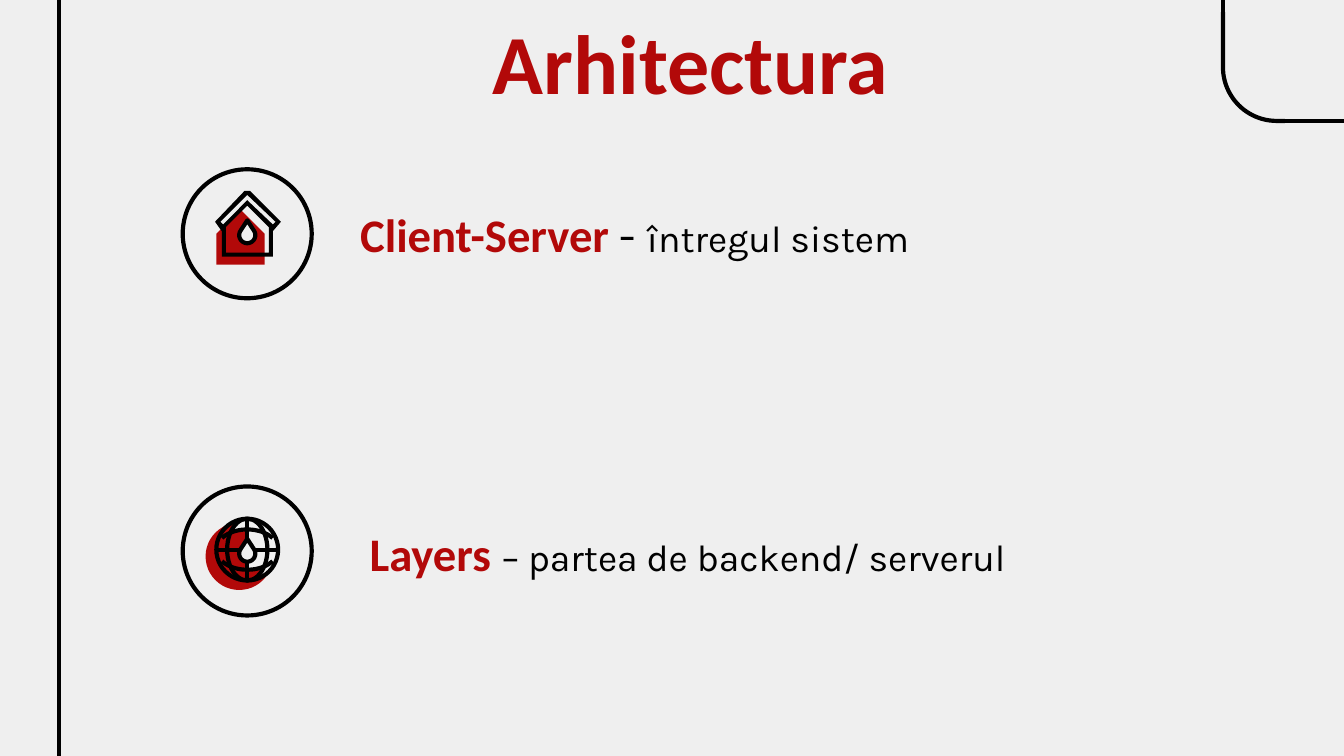
from dataclasses import dataclass
from math import cos, radians, sin
from typing import Optional

from lxml.etree import SubElement
from pptx import Presentation
from pptx.dml.color import RGBColor
from pptx.enum.shapes import MSO_CONNECTOR as Connector, MSO_SHAPE as Preset
from pptx.enum.text import MSO_ANCHOR as Anchor, MSO_AUTO_SIZE as AutoSize, PP_ALIGN as Align
from pptx.oxml.ns import qn
from pptx.util import Inches, Pt

COLORS = {"ground": "EFEFEF", "red": "B20909", "black": "000000"}
STROKE = Pt(2.25)
Points = list[tuple[float, float]]


@dataclass
class Span:
    """A stretch of text with one format."""
    text: str
    size: int
    font: str = "Karla"
    color: str = "black"
    bold: bool = False


@dataclass
class TextLine:
    """A placeholder's frame and its spans."""
    left: float
    top: float
    width: float
    spans: list[Span]
    anchor: Anchor = Anchor.BOTTOM
    align: Align = Align.LEFT


def heading(text: str, size: int) -> Span:
    """Return a bold red span."""
    return Span(text, size, "Calibri", "red", True)


def rgb(name: str) -> RGBColor:
    """Look up a colour by name."""
    return RGBColor.from_string(COLORS[name])


def paint(shape, fill: Optional[str], line: Optional[str]) -> None:
    """Set fill and outline, and drop the shadow."""
    shape.shadow.inherit = False
    if fill:
        shape.fill.solid()
        shape.fill.fore_color.rgb = rgb(fill)
    else:
        shape.fill.background()
    if line:
        shape.line.color.rgb = rgb(line)
        shape.line.width = STROKE
    else:
        shape.line.fill.background()


def add_outline(page, contours: list[Points], fill: Optional[str] = None,
                line: Optional[str] = None, close: bool = True) -> None:
    """Draw one freeform made of one or more contours."""
    scaled = [[(Inches(x), Inches(y)) for x, y in points] for points in contours]
    builder = page.shapes.build_freeform(*scaled[0][0], scale=1.0)
    for index, points in enumerate(scaled):
        if index:
            builder.move_to(*points[0])
        builder.add_line_segments(points[1:], close=close)
    paint(builder.convert_to_shape(), fill, line)


def add_ellipse(page, x: float, y: float, rx: float, ry: float,
                fill: Optional[str] = None, line: Optional[str] = None) -> None:
    """Draw an ellipse around a centre."""
    shape = page.shapes.add_shape(Preset.OVAL, Inches(x - rx), Inches(y - ry),
                                  Inches(2 * rx), Inches(2 * ry))
    paint(shape, fill, line)


def add_line(page, x1: float, y1: float, x2: float, y2: float) -> None:
    """Draw a straight black line."""
    line = page.shapes.add_connector(Connector.STRAIGHT, Inches(x1), Inches(y1),
                                     Inches(x2), Inches(y2))
    line.line.color.rgb = rgb("black")
    line.line.width = STROKE
    SubElement(line._element.spPr, qn("a:effectLst"))


def arc(x: float, y: float, rx: float, ry: float, start: int, end: int) -> Points:
    """Sample an elliptical arc; angles run clockwise from the right."""
    steps = 24
    angles = [radians(start + (end - start) * i / steps) for i in range(steps + 1)]
    return [(x + rx * cos(a), y + ry * sin(a)) for a in angles]


def add_drop(page, x: float, y: float) -> None:
    """Draw a water drop around the centre of its round part."""
    points = [(x, y - 0.11)] + arc(x, y, 0.06, 0.06, -30, 210)
    add_outline(page, [points], "ground", "black")


def add_house(page) -> None:
    """Draw the house icon."""
    add_outline(page, [[(1.79, 1.56), (1.61, 1.74), (1.61, 1.97), (1.97, 1.97), (1.97, 1.74)]], "red")
    add_outline(page, [[(1.8, 1.61), (1.65, 1.78), (1.67, 1.94), (1.83, 1.94),
                        (1.95, 1.82), (1.89, 1.72)]], "red")
    walls = [(1.82, 1.42), (1.6, 1.65), (1.65, 1.72), (1.65, 1.91), (2.03, 1.91),
             (2.03, 1.72), (2.09, 1.65), (1.86, 1.42)]
    roof = [(1.84, 1.45), (2.05, 1.65), (2.03, 1.67), (1.84, 1.49), (1.66, 1.67), (1.64, 1.65)]
    room = [(1.84, 1.53), (2, 1.69), (2, 1.88), (1.68, 1.88), (1.68, 1.69)]
    add_outline(page, [walls, roof, room], "black")
    add_drop(page, 1.84, 1.75)


def add_globe(page) -> None:
    """Draw the globe icon."""
    x, y, radius = 1.84, 4.09, 0.23
    add_ellipse(page, 1.78, 4.14, 0.25, 0.25, "red")
    add_outline(page, [[(1.72, 3.96), (1.79, 3.86), (1.88, 3.86), (1.96, 3.89), (2.04, 3.96),
                        (2.07, 4.04), (2.08, 4.13), (2.06, 4.18), (2, 4.26), (1.93, 4.31),
                        (1.91, 4.3), (1.97, 4.22), (1.84, 4.24), (1.84, 4.18), (1.78, 4.14),
                        (1.79, 4.09), (1.84, 4), (1.83, 3.95)]], "ground")
    for rx in (radius, 0.15):
        add_ellipse(page, x, y, rx, radius, line="black")
    for start in (0, 180):
        parallel = arc(x, y, 0.23, 0.15, start + 35, start + 145)
        add_outline(page, [parallel], line="black", close=False)
    add_line(page, x, y - radius, x, y + radius)
    add_line(page, x - radius, y, x + radius, y)
    add_drop(page, x, 4.12)


def fill_text(box, content: TextLine) -> None:
    """Place a placeholder and write its spans."""
    box.left, box.top = Inches(content.left), Inches(content.top)
    box.width, box.height = Inches(content.width), Inches(0.63)
    frame = box.text_frame
    frame.word_wrap = True
    frame.auto_size = AutoSize.NONE
    frame.vertical_anchor = content.anchor
    frame.margin_left = frame.margin_right = Inches(0.1)
    frame.margin_top = frame.margin_bottom = Inches(0.1)
    para = frame.paragraphs[0]
    para.alignment = content.align
    para.space_before = Pt(0)
    properties = para._p.get_or_add_pPr()
    properties.set("marL", "0")
    properties.set("indent", "0")
    SubElement(properties, qn("a:buNone"))
    for span in content.spans:
        run = para.add_run()
        run.text = span.text
        run.font.size, run.font.name, run.font.bold = Pt(span.size), span.font, span.bold
        run.font.color.rgb = rgb(span.color)


def main() -> None:
    """Build and save the slide."""
    deck = Presentation()
    deck.slide_width = Inches(10)
    deck.slide_height = deck.slide_width * 9 // 16
    page = deck.slides.add_slide(deck.slide_layouts.get_by_name("Two Content"))
    page.background.fill.solid()
    page.background.fill.fore_color.rgb = rgb("ground")

    add_line(page, 0.44, 0, 0.44, deck.slide_height.inches if hasattr(deck.slide_height, "inches") else 5.62)
    corner = [(9.1, 0.09)] + arc(9.5, 0.5, 0.4, 0.4, 180, 90) + [(9.56, 0.9)]
    add_outline(page, [corner], line="black", close=False)
    add_line(page, 9.1, 0, 9.1, 0.17)
    add_line(page, 9.56, 0.9, 10, 0.9)

    lines = [
        TextLine(1.95, 0.14, 6.38, [heading("Arhitectura", 45)], Anchor.MIDDLE, Align.CENTER),
        TextLine(2.58, 1.42, 5.77, [heading("Client-Server ", 25), Span("- ", 25),
                                    Span("întregul sistem", 20)]),
        TextLine(2.65, 3.79, 5.81, [heading("Layers ", 25),
                                    Span("– partea de backend/ serverul", 20)]),
    ]
    for box, content in zip(list(page.placeholders)[:3], lines):
        fill_text(box, content)

    for y in (1.74, 4.1):
        add_ellipse(page, 1.84, y, 0.48, 0.48, line="black")
    add_house(page)
    add_globe(page)
    deck.save("out.pptx")


main()
